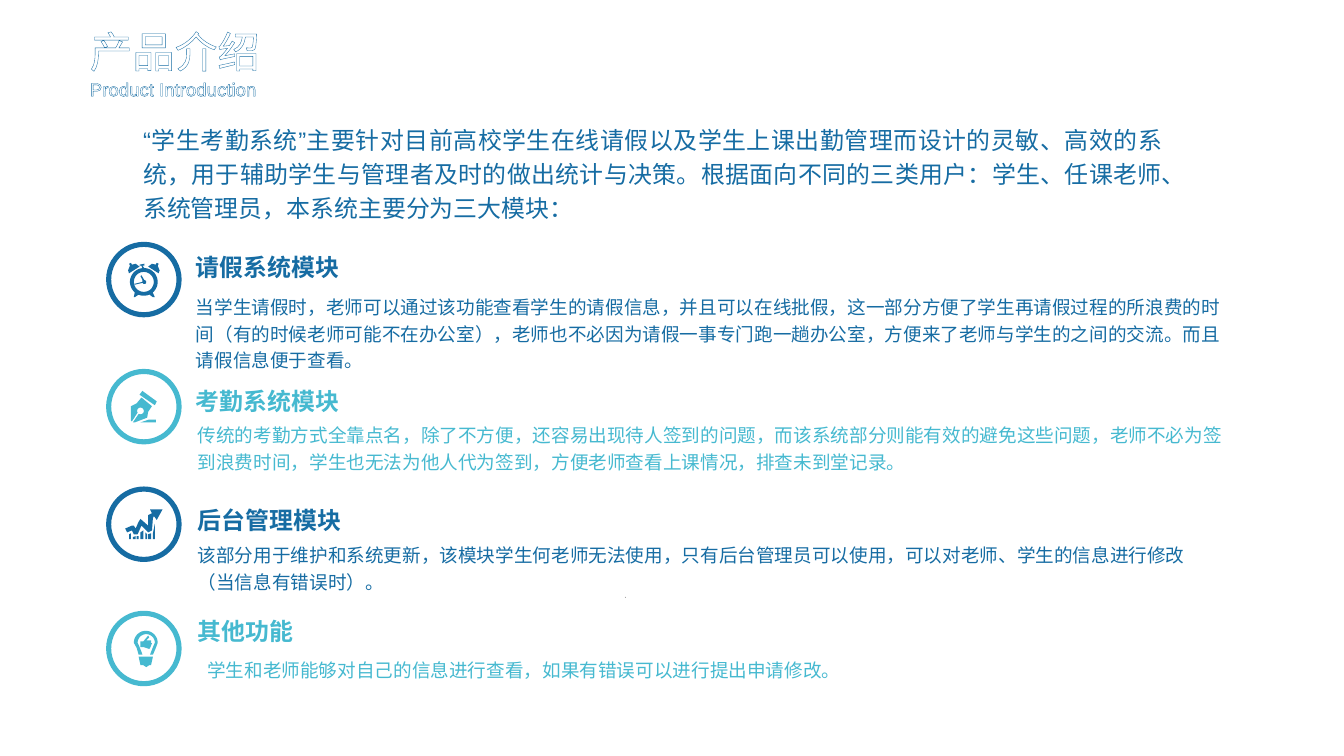
from math import cos, radians, sin

from lxml import etree
from pptx import Presentation, util as u
from pptx.dml.color import RGBColor
from pptx.enum import lang, shapes, text
from pptx.oxml.ns import qn

BLUE, TEAL, GREY, WHITE = "166CA3", "46B9D0", "A6A6A6", "FFFFFF"
JUSTIFY, LEFT = text.PP_ALIGN.JUSTIFY, text.PP_ALIGN.LEFT


def colour(value):
    return RGBColor.from_string(value)


def assign(target, values):
    for name, value in values.items():
        setattr(target, name, value)


def arc(x, y, radius, start, end, steps=20):
    angles = [radians(start + (end - start) * i / steps) for i in range(steps + 1)]
    return [(x + radius * cos(a), y + radius * sin(a)) for a in angles]


class SlideBuilder:
    font_name = "Arial"

    def __init__(self, slide):
        self.slide = slide

    def fill_text(self, shape, words, size, fill, bold=False, align=LEFT,
                  spacing=1.2, wrap=True, outline=None):
        frame = shape.text_frame
        assign(frame, {"word_wrap": wrap,
                       "auto_size": text.MSO_AUTO_SIZE.SHAPE_TO_FIT_TEXT})
        paragraph = frame.paragraphs[0]
        assign(paragraph, {"alignment": align, "line_spacing": spacing})
        run = paragraph.add_run()
        run.text = words
        assign(run.font, {"name": self.font_name, "size": u.Pt(size), "bold": bold,
                          "language_id": lang.MSO_LANGUAGE_ID.SIMPLIFIED_CHINESE})
        run.font.color.rgb = colour(fill)
        properties = run._r.get_or_add_rPr()
        etree.SubElement(properties, qn("a:ea"), typeface=self.font_name)
        if outline:
            line = etree.Element(qn("a:ln"), w=str(u.Pt(0.8)))
            solid = etree.SubElement(line, qn("a:solidFill"))
            etree.SubElement(solid, qn("a:srgbClr"), val=outline)
            properties.insert(0, line)

    def text(self, box, words, size, fill, **formats):
        shape = self.slide.shapes.add_textbox(*map(u.Inches, box))
        self.fill_text(shape, words, size, fill, **formats)
        return shape

    def outlined(self, shape, words, size):
        assign(shape.text_frame, {
            "margin_left": 0, "margin_top": 0, "margin_right": 0, "margin_bottom": 0,
            "vertical_anchor": text.MSO_ANCHOR.MIDDLE})
        self.fill_text(shape, words, size, WHITE, spacing=1.0, outline=BLUE)

    def title(self, box, words, size):
        shape = self.slide.shapes.title
        names = ("left", "top", "width", "height")
        assign(shape, dict(zip(names, map(u.Inches, box))))
        self.outlined(shape, words, size)

    def paint(self, shape, fill):
        shape.shadow.inherit = False
        shape.fill.solid()
        shape.fill.fore_color.rgb = colour(fill)
        shape.line.fill.background()

    def ring(self, left, top, size, fill):
        shape = self.slide.shapes.add_shape(
            shapes.MSO_SHAPE.DONUT, *map(u.Inches, (left, top, size, size)))
        shape.adjustments[0] = 0.068
        self.paint(shape, fill)

    def icon(self, contours, fill):
        """Contours are given in hundredths of an inch on the slide."""
        fine = [[(x * 10, y * 10) for x, y in contour] for contour in contours]
        builder = self.slide.shapes.build_freeform(*fine[0][0], scale=u.Inches(1) / 1000)
        for index, contour in enumerate(fine):
            if index:
                builder.move_to(*contour[0])
            builder.add_line_segments(contour[1:], close=True)
        self.paint(builder.convert_to_shape(), fill)


# Icon outlines
bell = [(163, 277), (159, 276), (155, 279), (166, 286), (167, 283), (165, 278),
        (166, 276), (164, 275)]
CLOCK = [
    arc(150.5, 295, 14.5, -88, 50) + [(162, 311), (160, 311), (156, 308)]
    + arc(150.5, 295, 14.5, 68, 112) + [(141, 311), (140, 311), (141, 306)]
    + arc(150.5, 295, 14.5, 130, 264)
    + [(148, 278), (146, 278), (146, 277), (151, 276), (151, 278), (149, 278)],
    arc(150.5, 295, 10.5, 360, 0),
    bell,
    [(301 - x, y) for x, y in bell],
    [(149, 294), (149, 295), (141, 297), (141, 298), (149, 296), (150, 297), (152, 297),
     (153, 296), (153, 294), (151, 293), (148, 288), (147, 289), (149, 293)],
]
PEN = [
    [(138, 441), (137, 440), (137, 425), (143, 422), (148, 416), (159, 425), (155, 431),
     (154, 437), (141, 442), (139, 442)] + arc(147, 430, 3.5, 120, -210),
    [(147, 442), (163, 442), (163, 439), (156, 439)],
    [(162, 424), (164, 420), (149, 409), (146, 413)],
]
bars = [(135, 137, 559, 558), (139, 142, 562, 561), (143, 145, 561, 561),
        (147, 150, 557, 555), (152, 154, 557, 559), (155, 158, 559, 558),
        (160, 162, 558, 548)]
GROWTH = [
    [(170, 533), (164, 544), (161, 540), (160, 542), (159, 555), (155, 557), (148, 550),
     (144, 559), (140, 559), (138, 555), (133, 557), (131, 553), (138, 550), (140, 550),
     (142, 553), (145, 546), (147, 543), (155, 550), (155, 539), (159, 537), (157, 533)],
] + [[(left, 564), (right, 564), (right, end), (left, start)]
     for left, right, start, end in bars]
BULB = [
    [(145, 687), (160, 687), (158, 696), (156, 696), (153, 698), (150, 696), (147, 696)],
    [(158, 670), (158, 673), (159, 673), (157, 678), (156, 679), (150, 677), (147, 677),
     (147, 671), (150, 671), (155, 665), (156, 667), (153, 670)],
    [(145, 685), (149, 685), (148, 682), (146, 677)] + arc(153, 672.5, 9, 180, 360)
    + [(160, 677), (157, 685), (160, 685), (163, 678)]
    + arc(152.5, 672.5, 12.5, 360, 180) + [(143, 678)],
]

# Modules: colour, icon, ring top, heading, its box, description, its box
MODULES = [
    (BLUE, CLOCK, 2.53, "请假系统模块", (1.95, 2.53, 1.7, 0.46),
     "当学生请假时，老师可以通过该功能查看学生的请假信息，并且可以在线批假，这一部分方便了学生再请假过程的所浪费的时间"
     "（有的时候老师可能不在办公室），老师也不必因为请假一事专门跑一趟办公室，方便来了老师与学生的之间的交流。"
     "而且请假信息便于查看。", (1.95, 3, 11.11, 0.95)),
    (TEAL, PEN, 3.86, "考勤系统模块", (1.95, 3.94, 1.7, 0.46),
     "传统的考勤方式全靠点名，除了不方便，还容易出现待人签到的问题，而该系统部分则能有效的避免这些问题，"
     "老师不必为签到浪费时间，学生也无法为他人代为签到，方便老师查看上课情况，排查未到堂记录。",
     (1.97, 4.34, 11, 0.66)),
    (BLUE, GROWTH, 5.09, "后台管理模块", (1.97, 5.18, 1.7, 0.46),
     "该部分用于维护和系统更新，该模块学生何老师无法使用，只有后台管理员可以使用，"
     "可以对老师、学生的信息进行修改（当信息有错误时）。", (1.97, 5.6, 10.9, 0.66)),
    (TEAL, BULB, 6.39, "其他功能", (1.97, 6.34, 1.2, 0.46),
     "学生和老师能够对自己的信息进行查看，如果有错误可以进行提出申请修改。",
     (2.07, 6.8, 6.75, 0.66)),
]


def main():
    presentation = Presentation()
    assign(presentation, {"slide_width": u.Inches(14.06), "slide_height": u.Inches(7.91)})
    slide = presentation.slides.add_slide(presentation.slide_layouts[5])
    builder = SlideBuilder(slide)

    # Title and subtitle
    builder.title((0.94, 0.26, 4.32, 0.54), "产品介绍", 32)
    subtitle = slide.shapes.add_textbox(*map(u.Inches, (0.94, 0.81, 3.07, 0.24)))
    builder.outlined(subtitle, "Product Introduction", 14)

    # Introduction
    builder.text((1.4, 1.2, 10.86, 1.19),
                 "“学生考勤系统”主要针对目前高校学生在线请假以及学生上课出勤管理而设计的灵敏、高效的系统，"
                 "用于辅助学生与管理者及时的做出统计与决策。根据面向不同的三类用户：学生、任课老师、系统管理员，"
                 "本系统主要分为三大模块：", 18, BLUE, align=JUSTIFY)

    # Modules
    for fill, icon, top, heading, heading_box, description, description_box in MODULES:
        builder.ring(1.11, top, 0.79, fill)
        builder.icon(icon, fill)
        builder.text(heading_box, heading, 18, fill, bold=True, align=JUSTIFY, wrap=False)
        builder.text(description_box, description, 14, fill)

    # Small dot
    builder.text((6.43, 6.08, 2.62, 0.26), ".", 8, GREY, align=JUSTIFY)

    presentation.save("out.pptx")


if __name__ == "__main__":
    main()
